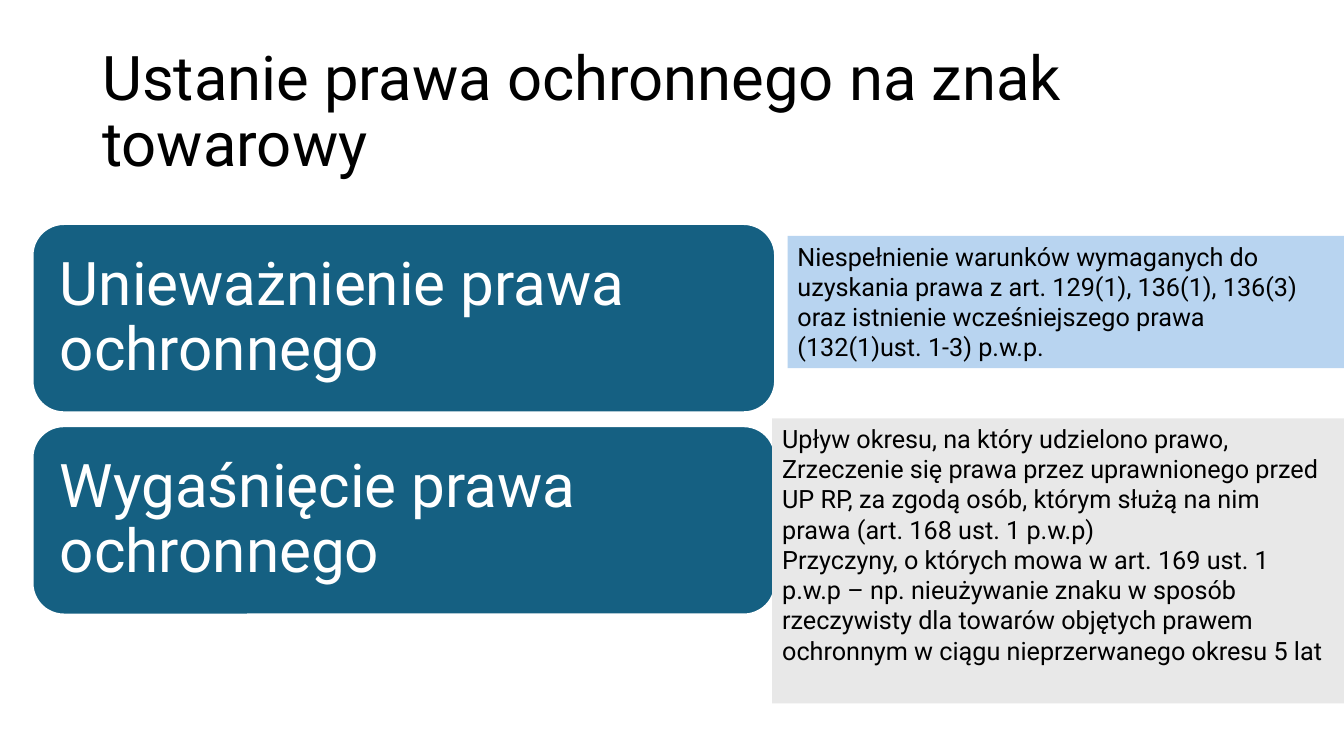
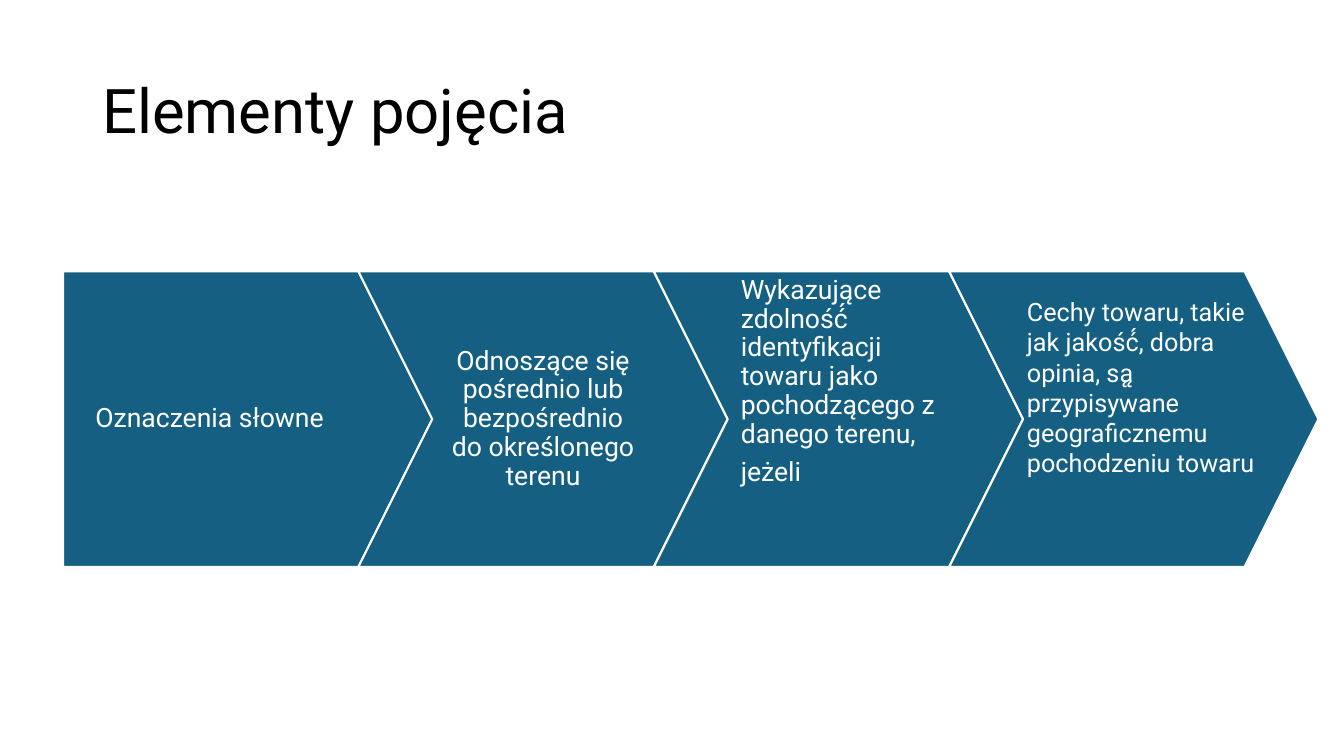
from dataclasses import dataclass
from typing import Optional

from pptx import Presentation
from pptx.dml.color import RGBColor
from pptx.enum.shapes import MSO_SHAPE
from pptx.enum.text import MSO_ANCHOR, PP_ALIGN
from pptx.shapes.autoshape import Shape
from pptx.slide import Slide
from pptx.util import Pt

FONT = "Roboto"
COLORS = {
    "ink": "000000",
    "paper": "FFFFFF",
    "teal": "156082",
    "sky": "B8D4F0",
    "mist": "E8E8E8",
}


@dataclass(frozen=True)
class Box:
    left: float
    top: float
    width: float
    height: float


@dataclass(frozen=True)
class TextStyle:
    size: float
    color: str
    anchor: MSO_ANCHOR = MSO_ANCHOR.TOP
    align: PP_ALIGN = PP_ALIGN.LEFT
    line_spacing: float = 1.0
    space_after: float = 0
    insets: tuple[float, float, float, float] = (7.2, 3.6, 7.2, 3.6)


@dataclass(frozen=True)
class Note:
    box: Box
    paragraphs: tuple[str, ...]
    fill: Optional[str] = None
    color: str = "ink"


@dataclass(frozen=True)
class Step:
    outline: MSO_SHAPE
    paragraphs: tuple[str, ...] = ()
    anchor: MSO_ANCHOR = MSO_ANCHOR.MIDDLE
    align: PP_ALIGN = PP_ALIGN.CENTER
    right_inset: float = 9.4


TITLE_BOX = Box(66, 28.8, 828, 104.4)
TITLE_STYLE = TextStyle(44, "ink", MSO_ANCHOR.MIDDLE, line_spacing=0.9)

CARD = Box(23.2, 160, 530.5, 134.6)
CARD_PITCH = 144.4
CARD_STYLE = TextStyle(43, "paper", MSO_ANCHOR.MIDDLE, line_spacing=0.9,
                       insets=(13, 13, 13, 13))
CARDS = ("Unieważnienie prawa ochronnego", "Wygaśnięcie prawa ochronnego")

NOTES = (
    Note(
        Box(562.5, 168.5, 397.5, 94.5),
        ("Niespełnienie warunków wymaganych do uzyskania prawa z art. 129(1), "
         "136(1), 136(3) oraz istnienie wcześniejszego prawa (132(1)ust. 1-3) p.w.p.",),
        "sky",
    ),
    Note(
        Box(551.6, 298.8, 408.4, 203.6),
        (
            "Upływ okresu, na który udzielono prawo,",
            "Zrzeczenie się prawa przez uprawnionego przed UP RP, za zgodą osób, "
            "którym służą na nim prawa (art. 168 ust. 1 p.w.p)",
            "Przyczyny, o których mowa w art. 169 ust. 1 p.w.p – np. nieużywanie "
            "znaku w sposób rzeczywisty dla towarów objętych prawem ochronnym "
            "w ciągu nieprzerwanego okresu 5 lat",
        ),
        "mist",
    ),
)

STEP_LEFT, STEP_TOP, STEP_HEIGHT = 45, 193.9, 211
STEP_POINT = 0.25
STEPS = (
    Step(MSO_SHAPE.PENTAGON, ("Oznaczenia słowne",), right_inset=37.4),
    Step(MSO_SHAPE.CHEVRON,
         ("Odnoszące się pośrednio lub bezpośrednio do określonego terenu",)),
    Step(MSO_SHAPE.CHEVRON,
         ("Wykazujące zdolność́ identyfikacji towaru jako pochodzącego z danego terenu,",
          "jeżeli"),
         MSO_ANCHOR.TOP, PP_ALIGN.LEFT),
    Step(MSO_SHAPE.CHEVRON),
)
FEATURES = Note(
    Box(726.5, 208.2, 177.8, 181.4),
    ("Cechy towaru, takie jak jakość́, dobra opinia, są̨ przypisywane geograficznemu",
     "pochodzeniu towaru"),
    color="paper",
)


def write(shape: Shape, paragraphs: tuple[str, ...], style: TextStyle) -> None:
    frame = shape.text_frame
    frame.text = "\n".join(paragraphs)
    frame.word_wrap = True
    frame.vertical_anchor = style.anchor
    (frame.margin_left, frame.margin_top,
     frame.margin_right, frame.margin_bottom) = map(Pt, style.insets)
    for paragraph in frame.paragraphs:
        paragraph.alignment = style.align
        paragraph.line_spacing = style.line_spacing
        paragraph.space_after = Pt(style.space_after)
        for run in paragraph.runs:
            run.font.name = FONT
            run.font.size = Pt(style.size)
            run.font.color.rgb = RGBColor.from_string(COLORS[style.color])


def add_text(slide: Slide, box: Box, paragraphs: tuple[str, ...],
             style: TextStyle) -> Shape:
    area = slide.shapes.add_textbox(
        Pt(box.left), Pt(box.top), Pt(box.width), Pt(box.height))
    write(area, paragraphs, style)
    return area


def add_block(slide: Slide, outline: MSO_SHAPE, box: Box) -> Shape:
    block = slide.shapes.add_shape(
        outline, Pt(box.left), Pt(box.top), Pt(box.width), Pt(box.height))
    block.shadow.inherit = False
    block.fill.solid()
    block.fill.fore_color.rgb = RGBColor.from_string(COLORS["teal"])
    block.line.color.rgb = RGBColor.from_string(COLORS["paper"])
    block.line.width = Pt(1.5)
    return block


def add_note(slide: Slide, note: Note) -> None:
    area = add_text(slide, note.box, note.paragraphs, TextStyle(18, note.color))
    if note.fill:
        area.fill.solid()
        area.fill.fore_color.rgb = RGBColor.from_string(COLORS[note.fill])


def add_titled_slide(deck: Presentation, title: str) -> Slide:
    slide = deck.slides.add_slide(deck.slide_layouts[6])
    add_text(slide, TITLE_BOX, (title,), TITLE_STYLE)
    return slide


def build_expiry(deck: Presentation) -> None:
    slide = add_titled_slide(deck, "Ustanie prawa ochronnego na znak towarowy")
    for index, label in enumerate(CARDS):
        box = Box(CARD.left, CARD.top + index * CARD_PITCH, CARD.width, CARD.height)
        card = add_block(slide, MSO_SHAPE.ROUNDED_RECTANGLE, box)
        write(card, (label,), CARD_STYLE)
    for note in NOTES:
        add_note(slide, note)


def build_elements(deck: Presentation) -> None:
    slide = add_titled_slide(deck, "Elementy pojęcia")
    width = STEP_HEIGHT * (1 + STEP_POINT)
    for index, step in enumerate(STEPS):
        box = Box(STEP_LEFT + index * STEP_HEIGHT, STEP_TOP, width, STEP_HEIGHT)
        arrow = add_block(slide, step.outline, box)
        arrow.adjustments[0] = STEP_POINT
        if step.paragraphs:
            style = TextStyle(19, "paper", step.anchor, step.align, 0.9, 6.65,
                              (9.4, 3.6, step.right_inset, 3.6))
            write(arrow, step.paragraphs, style)
    add_note(slide, FEATURES)


def main() -> None:
    deck = Presentation()
    deck.slide_width, deck.slide_height = Pt(960), Pt(540)
    build_expiry(deck)
    build_elements(deck)
    deck.save("out.pptx")


if __name__ == "__main__":
    main()
